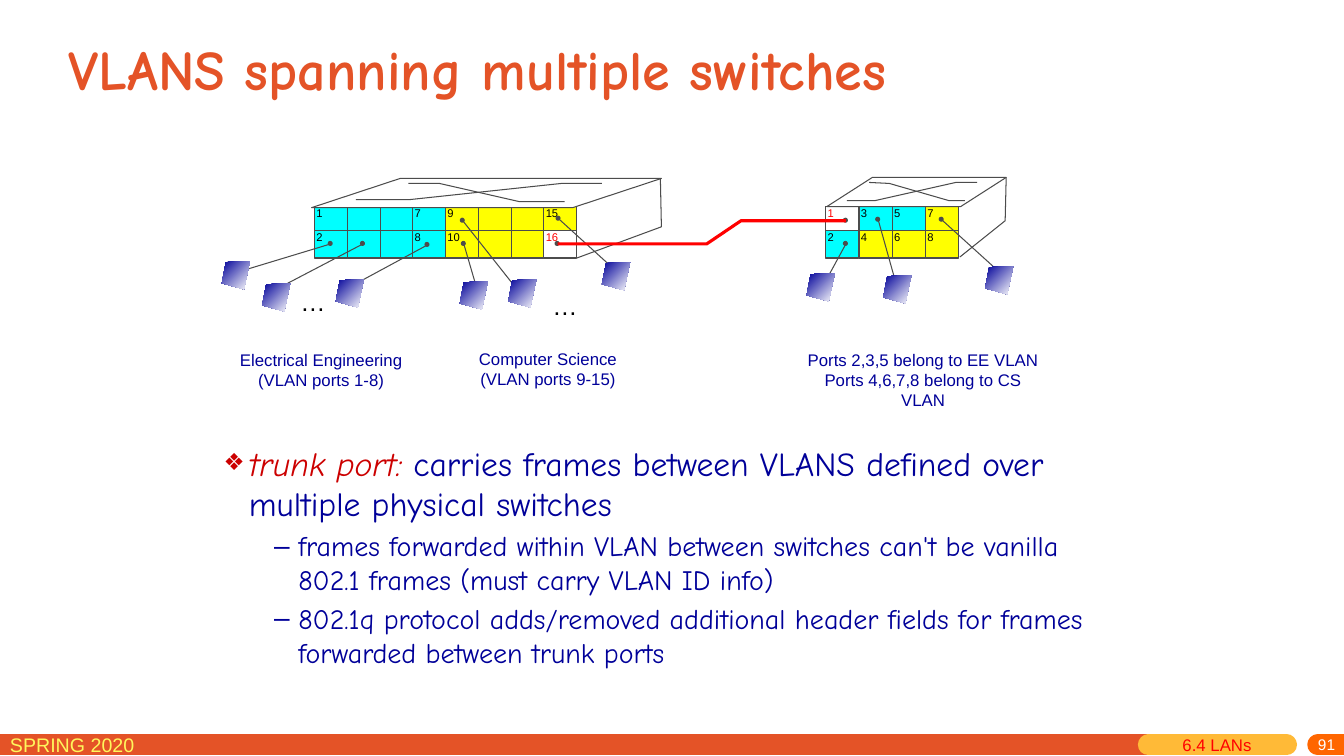
"""Builds the slide on VLANs that span two switches joined by trunk ports."""
from lxml import etree
from pptx import Presentation
from pptx.dml.color import RGBColor
from pptx.enum.shapes import MSO_CONNECTOR, MSO_SHAPE
from pptx.enum.text import MSO_ANCHOR, PP_ALIGN
from pptx.oxml.ns import qn
from pptx.util import Inches, Pt

RECT, OVAL, ROOF = MSO_SHAPE.RECTANGLE, MSO_SHAPE.OVAL, MSO_SHAPE.PARALLELOGRAM
STRAIGHT = MSO_CONNECTOR.STRAIGHT
LEFT, CENTER, RIGHT = PP_ALIGN.LEFT, PP_ALIGN.CENTER, PP_ALIGN.RIGHT
TOP, MIDDLE = MSO_ANCHOR.TOP, MSO_ANCHOR.MIDDLE

WHITE = RGBColor(0xFF, 0xFF, 0xFF)
BLACK = RGBColor(0x00, 0x00, 0x00)
GREY = RGBColor(0x4C, 0x4C, 0x4C)
CYAN = RGBColor(0x00, 0xFF, 0xFF)
YELLOW = RGBColor(0xFF, 0xFF, 0x00)
RED = RGBColor(0xFF, 0x00, 0x00)
CRIMSON = RGBColor(0xCC, 0x00, 0x00)
NAVY = RGBColor(0x00, 0x00, 0x99)
RUST = RGBColor(0xE4, 0x53, 0x27)
AMBER = RGBColor(0xFF, 0xBA, 0x37)
ORANGE = RGBColor(0xFF, 0x66, 0x00)
LEMON = RGBColor(0xFF, 0xF6, 0x5C)

PORT_ROWS = (2.05, 2.29, 2.56)


class SlideBuilder:
    """Holds the style and the slide, and draws each kind of element."""

    def __init__(self, slide, font="Arial", display_font="Comic Neue"):
        self.slide = slide
        self.shapes = slide.shapes
        self.font = font
        self.display_font = display_font

    def style_font(self, font, size, color, name=None):
        font.size, font.name, font.color.rgb = Pt(size), name or self.font, color

    def frame(self, left, top, width, height, wrap=True, anchor=TOP):
        frame = self.shapes.add_textbox(
            Inches(left), Inches(top), Inches(width), Inches(height)).text_frame
        frame.word_wrap, frame.vertical_anchor = wrap, anchor
        return frame

    def text(self, box, lines, size, color, align=LEFT, name=None, bold=False, **layout):
        frame = self.frame(*box, **layout)
        for index, line in enumerate(lines):
            paragraph = frame.add_paragraph() if index else frame.paragraphs[0]
            paragraph.text, paragraph.alignment = line, align
            self.style_font(paragraph.font, size, color, name)
            paragraph.font.bold = bold
        return frame

    def bullet(self, paragraph, mark, color, percent, margin, indent):
        properties = paragraph._p.get_or_add_pPr()
        properties.set("marL", str(Inches(margin)))
        properties.set("indent", str(Inches(indent)))
        tint = etree.SubElement(properties, qn("a:buClr"))
        etree.SubElement(tint, qn("a:srgbClr"), val=str(color))
        etree.SubElement(properties, qn("a:buSzPct"), val=str(percent * 1000))
        etree.SubElement(properties, qn("a:buFont"), typeface=self.font)
        etree.SubElement(properties, qn("a:buChar"), char=mark)

    def shape(self, kind, left, top, width, height, fill, line=None):
        shape = self.shapes.add_shape(
            kind, Inches(left), Inches(top), Inches(width), Inches(height))
        shape.shadow.inherit = False
        shape.fill.solid()
        shape.fill.fore_color.rgb = fill
        if line is None:
            shape.line.fill.background()
        else:
            shape.line.color.rgb, shape.line.width = line, Pt(0.75)
        return shape

    def line(self, start, end, color=GREY, width=0.75, cap=None):
        points = [Inches(value) for value in (*start, *end)]
        line = self.shapes.add_connector(STRAIGHT, *points)
        line.line.color.rgb, line.line.width = color, Pt(width)
        if cap:
            line.line._get_or_add_ln().set("cap", cap)
        etree.SubElement(line._element.spPr, qn("a:effectLst"))

    def outline(self, points, close=False):
        (x, y), *rest = [(Inches(x), Inches(y)) for x, y in points]
        builder = self.shapes.build_freeform(x, y)
        builder.add_line_segments(rest, close=close)
        shape = builder.convert_to_shape()
        shape.shadow.inherit = False
        return shape

    def polyline(self, points, color=GREY, width=0.75):
        shape = self.outline(points)
        shape.fill.background()
        shape.line.color.rgb, shape.line.width = color, Pt(width)

    def switch(self, left, pitch, vlans, labelled, trunk, roof, slant, edges):
        """Draws the port grid in pairs of two per column, then the casing."""
        for port, color in enumerate(vlans, 1):
            column, row = divmod(port - 1, 2)
            top, bottom = PORT_ROWS[row:row + 2]
            self.shape(RECT, left + column * pitch, top, pitch, bottom - top, color, GREY)
        for port in labelled:
            column, row = divmod(port - 1, 2)
            self.text((left + column * pitch - 0.08, 2 + row * 0.24, 0.26 if port < 10 else 0.33, 0.23),
                      [str(port)], 8, RED if port == trunk else BLACK, wrap=False)
        self.shape(ROOF, *roof, WHITE, GREY).adjustments[0] = slant
        for edge in edges:
            self.polyline(edge)

    def dot(self, x, y):
        self.shape(OVAL, x - 0.03, y - 0.03, 0.05, 0.05, GREY)

    def host(self, left, top):
        corners = ((0.28, 0), (0.04, 0.01), (0, 0.22), (0.22, 0.28))
        screen = self.outline([(left + x, top + y) for x, y in corners], close=True)
        screen.line.fill.background()
        screen.fill.gradient()
        screen.fill.gradient_angle = 315
        for stop, color in zip(screen.fill.gradient_stops, (NAVY, WHITE)):
            stop.color.rgb = color


def main():
    deck = Presentation()
    deck.slide_width, deck.slide_height = Inches(13.33), Inches(7.5)
    page = SlideBuilder(deck.slides.add_slide(deck.slide_layouts[6]))

    for start, end, color, cap in ((-0.18, 11.39, RUST, "flat"), (11.39, 12.76, AMBER, "rnd"),
                                   (13.07, 13.6, ORANGE, "rnd")):
        page.line((start, 7.39), (end, 7.39), color, 15, cap)
    page.text((0, 7.22, 2.29, 0.31), ["SPRING 2020"], 14, LEMON)
    page_number = page.text((10.75, 7.32, 2.59, 0.18), ["91"], 11, WHITE, RIGHT, anchor=MIDDLE)
    page_number.margin_top = 0
    page.text((11.63, 7.24, 1.1, 0.31), ["6.4 LANs"], 12, RED)
    page.text((0.58, 0.28, 12.18, 0.79), ["VLANS spanning multiple switches"], 40, RUST,
              name=page.display_font, bold=True, anchor=MIDDLE)

    page.switch(3.12, 0.325, [CYAN] * 8 + [YELLOW] * 7 + [WHITE],
                (1, 2, 7, 8, 9, 10, 15, 16), 16, (3.09, 1.77, 3.47, 0.29), 3.03,
                (((5.72, 2.56), (6.56, 2.25), (6.55, 1.77)),
                 ((3.53, 1.98), (4.07, 1.98), (5.57, 1.82), (5.97, 1.82)),
                 ((4.05, 1.82), (4.36, 1.82), (5.15, 2), (5.6, 2))))
    page.switch(8.19, 0.33, [WHITE, CYAN, CYAN, YELLOW, CYAN, YELLOW, YELLOW, YELLOW],
                range(1, 9), 1, (8.2, 1.76, 1.78, 0.29), 1.56,
                (((9.98, 1.76), (9.97, 2.19), (9.52, 2.55)),
                 ((8.4, 1.99), (8.68, 1.99), (9.48, 1.81), (9.69, 1.81)),
                 ((8.62, 1.81), (8.82, 1.82), (9.41, 1.99), (9.57, 1.99))))

    links = (
        ((3.28, 2.42), (2.29, 2.72), (2.2, 2.59)),
        ((3.6, 2.42), (2.72, 2.88), (2.6, 2.81)),
        ((4.24, 2.43), (3.5, 2.83), (3.33, 2.77)),
        ((4.6, 2.42), (4.72, 2.83), (4.56, 2.79)),
        ((4.59, 2.19), (5.12, 2.86), (5.04, 2.77)),
        ((5.54, 2.17), (6.09, 2.67), (5.97, 2.6)),
        ((8.39, 2.42), (8.21, 2.75), (8, 2.71)),
        ((8.71, 2.18), (8.9, 2.86), (8.76, 2.73)),
        ((9.34, 2.18), (9.88, 2.67), (9.77, 2.64)),
    )
    for port, cable_end, host in links:
        page.line(port, cable_end)
        page.dot(*port)
        page.host(*host)

    trunk = ((5.53, 2.42), (7.01, 2.42), (7.35, 2.19), (8.39, 2.19))
    page.dot(*trunk[0])
    page.dot(*trunk[-1])
    page.polyline(trunk, RED, 2.25)

    for left, top in ((2.88, 2.79), (5.38, 2.83)):
        page.text((left, top, 0.45, 0.4), ["…"], 18, BLACK, wrap=False)
    for box, lines, wrap in (
            ((2.28, 3.42, 1.81, 0.7), ["Electrical Engineering", "(VLAN ports 1-8)"], True),
            ((4.65, 3.41, 1.57, 0.5), ["Computer Science", "(VLAN ports 9-15)"], False),
            ((7.84, 3.42, 2.63, 0.5),
             ["Ports 2,3,5 belong to EE VLAN", "Ports 4,6,7,8 belong to CS VLAN"], False)):
        page.text(box, lines, 12, NAVY, CENTER, wrap=wrap)

    notes = page.frame(2.12, 4.34, 9.07, 2.56)
    definition = notes.paragraphs[0]
    page.bullet(definition, "❖", CRIMSON, 70, 0.25, -0.25)
    page.style_font(definition.font, 24, NAVY, page.display_font)
    for words, color, italic in (
            ("trunk port: ", CRIMSON, True),
            ("carries frames between VLANS defined over multiple physical switches", NAVY, False)):
        run = definition.add_run()
        run.text, run.font.italic = words, italic
        page.style_font(run.font, 24, color, page.display_font)
    for words in (
            "frames forwarded within VLAN between switches can't be vanilla 802.1 frames (must carry VLAN ID info)",
            "802.1q protocol adds/removed additional header fields for frames forwarded between trunk ports"):
        detail = notes.add_paragraph()
        detail.text, detail.level, detail.space_before = words, 1, Pt(4)
        page.bullet(detail, "–", NAVY, 100, 0.74, -0.24)
        page.style_font(detail.font, 20, NAVY, page.display_font)

    deck.save("out.pptx")


if __name__ == "__main__":
    main()
